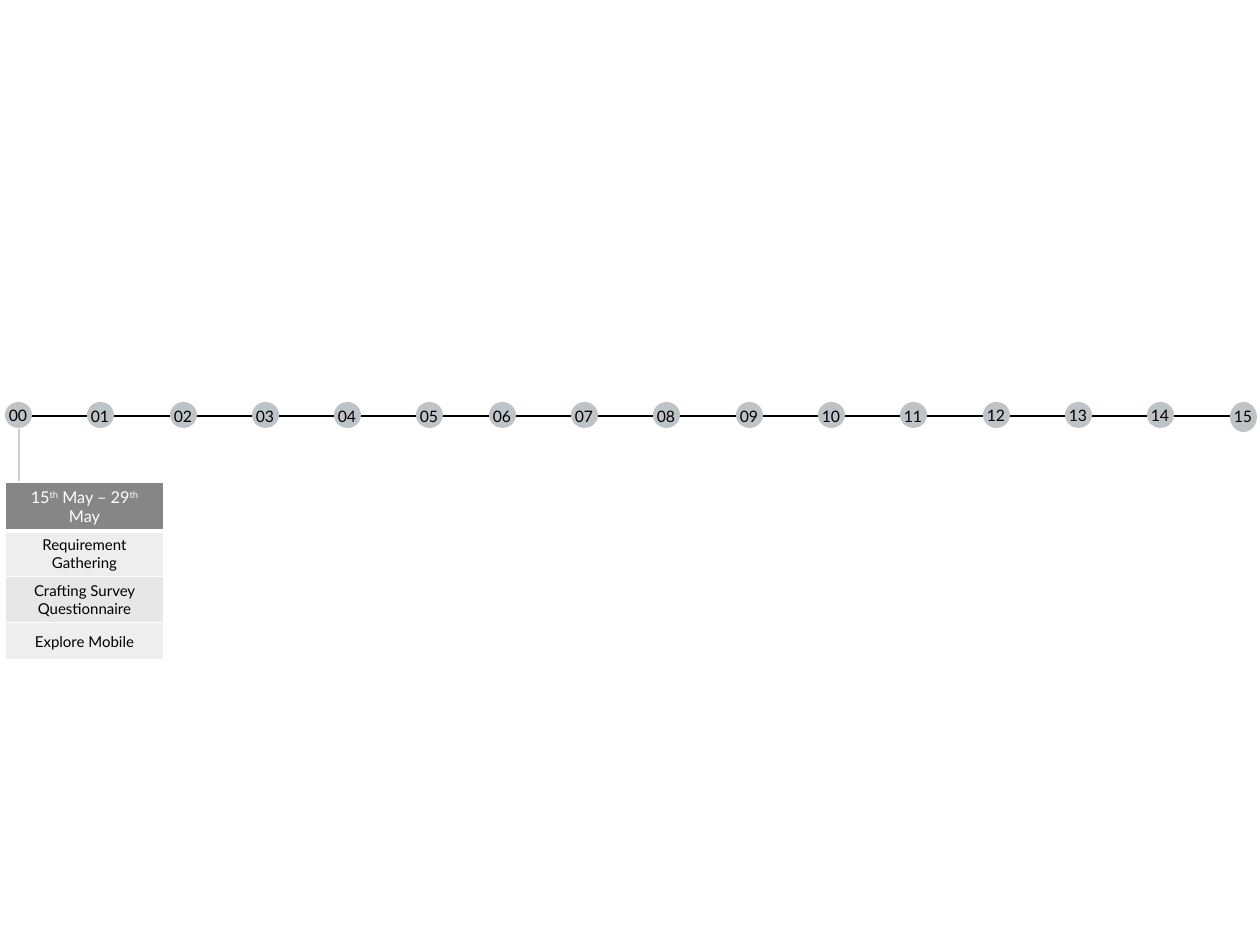
from lxml import etree
from pptx import Presentation
from pptx.dml.color import RGBColor
from pptx.enum.shapes import MSO_CONNECTOR, MSO_SHAPE
from pptx.enum.text import MSO_ANCHOR, MSO_AUTO_SIZE, PP_ALIGN
from pptx.oxml.ns import qn
from pptx.util import Pt

STRAIGHT = MSO_CONNECTOR.STRAIGHT
OVAL = MSO_SHAPE.OVAL
CENTER = PP_ALIGN.CENTER
MIDDLE = MSO_ANCHOR.MIDDLE
GROW = MSO_AUTO_SIZE.SHAPE_TO_FIT_TEXT

PX = 914400 // 90
FONT = "Lato"
COLORS = {
    "black": "000000",
    "white": "FFFFFF",
    "circle": "BDC3C7",
    "stem": "D0D0D0",
    "header": "868686",
    "light": "EEEEEE",
    "band": "E7E7E7",
}


def color(name):
    return RGBColor.from_string(COLORS[name])


def add_line(x1, y1, x2, y2, color_name):
    line = slide.shapes.add_connector(STRAIGHT, x1 * PX, y1 * PX, x2 * PX, y2 * PX)
    line.line.color.rgb = color(color_name)
    line.line.width = Pt(1.5)
    etree.SubElement(line._element.spPr, qn("a:effectLst"))


presentation = Presentation()
presentation.slide_width = 1260 * PX
presentation.slide_height = 945 * PX
slide = presentation.slides.add_slide(presentation.slide_layouts[6])

# Time axis
add_line(5, 416, 1245, 416, "black")

# Numbered milestones: even steps, with a shorter one before 06
for number in range(16):
    left = round(5 + 82.3 * number) - (10 if number >= 6 else 0)
    height = 30 if number == 15 else 26
    label_top = 401 if number in (0, 12, 13, 14) else 402
    shapes = slide.shapes.add_group_shape().shapes

    circle = shapes.add_shape(OVAL, left * PX, 402 * PX, 27 * PX, height * PX)
    circle.shadow.inherit = False
    circle.fill.solid()
    circle.fill.fore_color.rgb = color("circle")
    circle.line.fill.background()

    label = shapes.add_textbox((left - 8) * PX, label_top * PX, 42 * PX, 28 * PX)
    label.text_frame.word_wrap = True
    label.text_frame.auto_size = GROW
    paragraph = label.text_frame.paragraphs[0]
    paragraph.text = f"{number:02d}"
    paragraph.alignment = CENTER
    paragraph.font.name = FONT
    paragraph.font.size = Pt(12.6)
    paragraph.font.color.rgb = color("black")

# Stem from milestone 00 to its table
add_line(19, 429, 19, 491, "stem")

# Task table: height, fill, text colour, size, text runs with their baseline
rows = [
    (49, "header", "white", 13,
     [("15", 0), ("th", 30000), (" May – 29", 0), ("th", 30000), (" May", 0)]),
    (46, "light", "black", 12, [("Requirement Gathering", 0)]),
    (46, "band", "black", 12, [("Crafting Survey Questionnaire", 0)]),
    (37, "light", "black", 12, [("Explore Mobile", 0)]),
]
table_height = sum(row[0] for row in rows)
table = slide.shapes.add_table(
    len(rows), 1, 5 * PX, 482 * PX, 159 * PX, table_height * PX).table
table.horz_banding = False

for index, (height, fill, text_color, size, runs) in enumerate(rows):
    table.rows[index].height = height * PX
    cell = table.cell(index, 0)
    cell.vertical_anchor = MIDDLE
    cell.fill.solid()
    cell.fill.fore_color.rgb = color(fill)

    paragraph = cell.text_frame.paragraphs[0]
    paragraph.alignment = CENTER
    for text, baseline in runs:
        run = paragraph.add_run()
        run.text = text
        run.font.name = FONT
        run.font.size = Pt(size)
        run.font.bold = False
        run.font.color.rgb = color(text_color)
        if baseline:
            run._r.get_or_add_rPr().set("baseline", str(baseline))

    # White borders, thicker around the header's lower edge
    properties = cell._tc.get_or_add_tcPr()
    for position, side in enumerate(("lnL", "lnR", "lnT", "lnB")):
        thick = (index, side) in ((0, "lnB"), (1, "lnT"))
        border = etree.Element(qn(f"a:{side}"), w=str(Pt(3 if thick else 1)))
        border_fill = etree.SubElement(border, qn("a:solidFill"))
        etree.SubElement(border_fill, qn("a:srgbClr"), val=COLORS["white"])
        properties.insert(position, border)

presentation.save("out.pptx")
